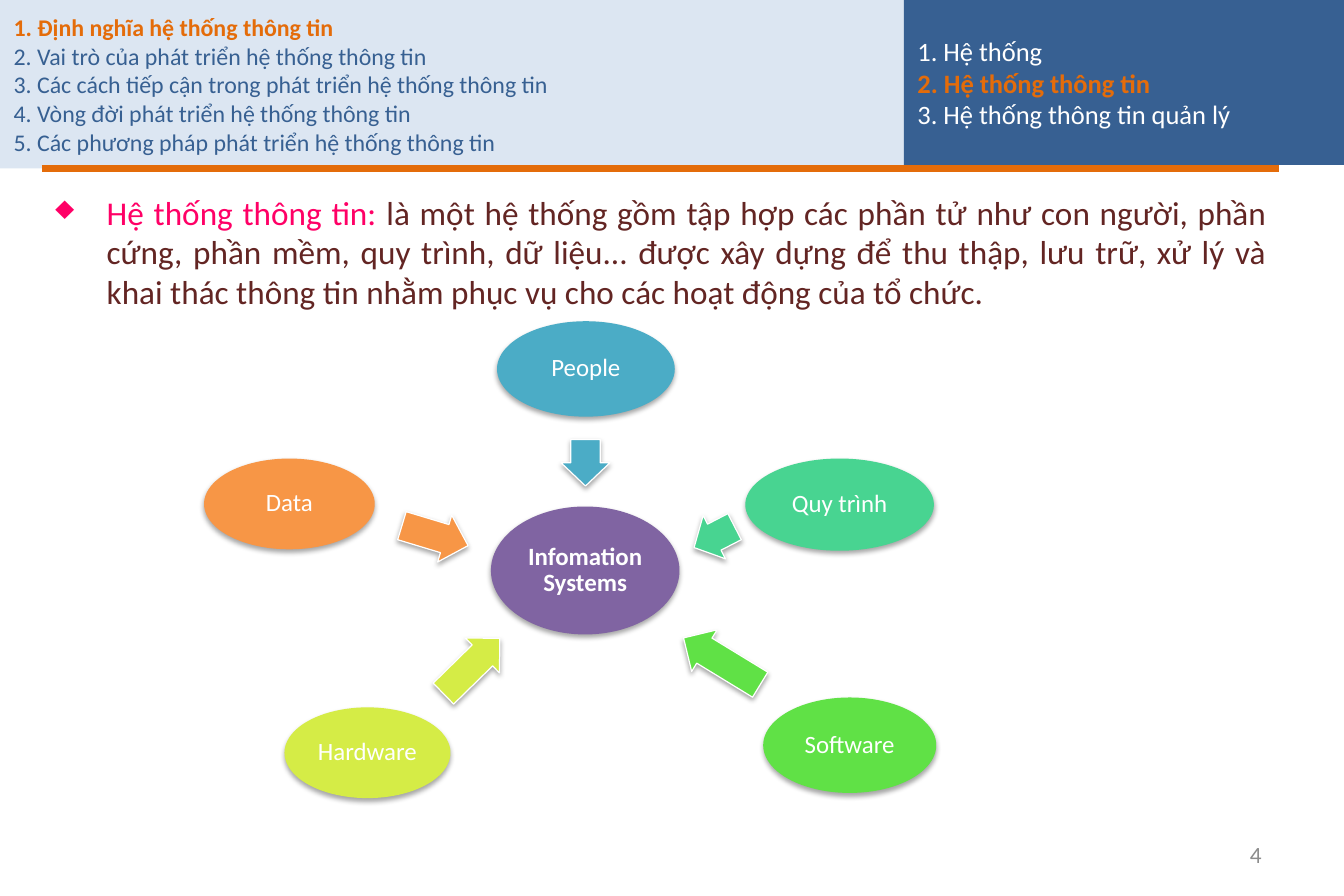
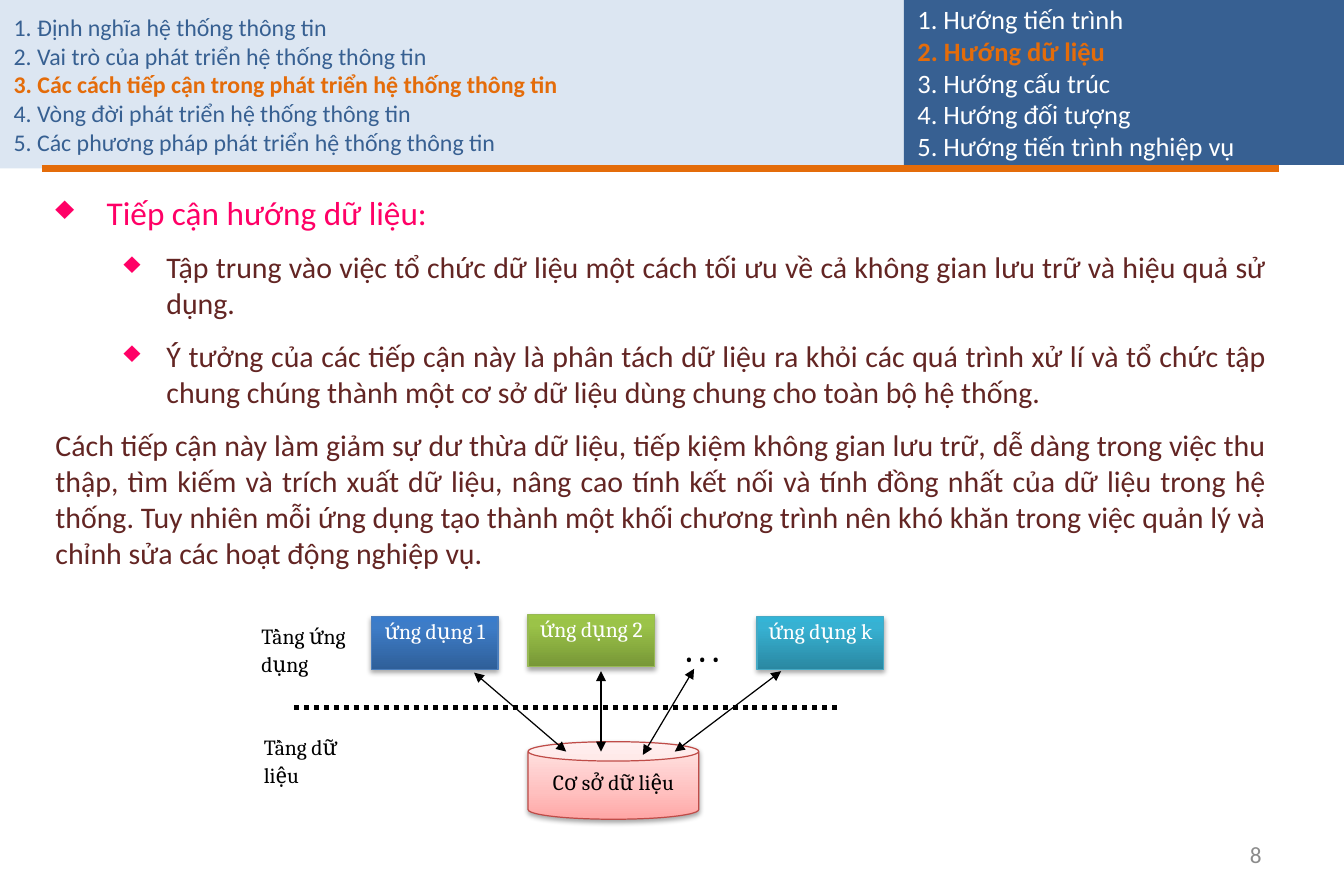
"""Builds two lecture slides on information systems."""
from lxml import etree
from pptx import Presentation
from pptx.dml.color import RGBColor
from pptx.enum.dml import MSO_LINE
from pptx.enum.shapes import MSO_CONNECTOR, MSO_SHAPE
from pptx.enum.text import MSO_ANCHOR, PP_ALIGN
from pptx.oxml.ns import qn
from pptx.util import Cm, Pt

STRAIGHT = MSO_CONNECTOR.STRAIGHT
RECTANGLE, OVAL = MSO_SHAPE.RECTANGLE, MSO_SHAPE.OVAL
CAN, ARROW = MSO_SHAPE.CAN, MSO_SHAPE.RIGHT_ARROW
TOP, MIDDLE = MSO_ANCHOR.TOP, MSO_ANCHOR.MIDDLE
LEFT, CENTER, RIGHT, JUSTIFY = PP_ALIGN.LEFT, PP_ALIGN.CENTER, PP_ALIGN.RIGHT, PP_ALIGN.JUSTIFY
DOTTED = MSO_LINE.ROUND_DOT

COLORS = {
    "white": "FFFFFF", "black": "000000", "gray": "8C8C8C", "pale": "DCE6F2",
    "navy": "376092", "accent": "E46C0A", "pink": "FF0066", "maroon": "632523",
    "purple": "8064A2", "aqua": "4BACC6", "mint": "48D491", "green": "60E146",
    "lime": "D5EC46", "orange": "F79646",
    "app_blue": "4B7EBC", "app_green": "98B955", "app_teal": "46AAC5", "store": "BF4C48",
}
GRADIENTS = {
    "app_blue": ((0, "2F5F99"), (80, "3D7CC7"), (100, "3A7CCB")),
    "app_green": ((0, "779737"), (80, "9BC348"), (100, "9DC746")),
    "app_teal": ((0, "2A88A2"), (80, "37B1D2"), (100, "34B4D6")),
    "store": ((0, "FFA6A5"), (35, "FFC0BF"), (100, "FFE7E7")),
}
BODY_FONT, DIAGRAM_FONT = "Calibri", "Cambria"
WIDE_INSETS = (0.29, 0.14)
BODY_BOX = (0.89, 3.94, 26.34, 15.11)
CHAPTERS = (
    "1. Định nghĩa hệ thống thông tin",
    "2. Vai trò của phát triển hệ thống thông tin",
    "3. Các cách tiếp cận trong phát triển hệ thống thông tin",
    "4. Vòng đời phát triển hệ thống thông tin",
    "5. Các phương pháp phát triển hệ thống thông tin",
)
HUB_BOX = (10.44, 10.77, 4.01, 2.72)
NODES = (
    ("People", "aqua", (10.57, 6.83, 3.78, 2.03), (12.45, 9.84), 0.99, 90),
    ("Quy trình", "mint", (15.85, 9.75, 4.01, 1.96), (15.19, 11.42), 0.97, 152.7),
    ("Software", "green", (16.23, 14.83, 3.68, 2.03), (15.35, 14.06), 1.91, 211.4),
    ("Hardware", "lime", (6.05, 15.04, 3.53, 1.93), (10.03, 14.16), 1.68, 315.6),
    ("Data", "orange", (4.34, 9.75, 3.63, 1.93), (9.25, 11.39), 1.47, 16.8),
)
ARROW_HEIGHT = 1.04
APPS = (
    ("ứng dụng 1", "app_blue", 7.9, 13.11),
    ("ứng dụng 2", "app_green", 11.23, 13.06),
    ("ứng dụng k", "app_teal", 16.1, 13.11),
)
DATA_LINKS = (
    ((10.08, 14.3), (12.04, 15.98)),
    ((12.78, 14.27), (12.78, 15.98)),
    ((16.61, 14.27), (14.35, 15.98)),
    ((14.76, 14.22), (13.67, 16.05)),
)


def rgb(name):
    """Return the named colour."""
    return RGBColor.from_string(COLORS[name])


def set_frame(shape, insets, anchor):
    """Prepare the text frame of a shape and return it."""
    frame = shape.text_frame
    frame.word_wrap = True
    frame.margin_left = frame.margin_right = Cm(insets[0])
    frame.margin_top = frame.margin_bottom = Cm(insets[1])
    frame.vertical_anchor = anchor
    return frame


def next_para(frame):
    """Return the empty first paragraph of a frame or a new one."""
    first = frame.paragraphs[0]
    return frame.add_paragraph() if first.runs else first


def style_para(para, size, color, font=BODY_FONT, bold=False, align=LEFT):
    """Set alignment and font of a whole paragraph."""
    para.alignment = align
    para.font.name = font
    para.font.size = Pt(size)
    para.font.bold = bold
    para.font.color.rgb = rgb(color)


def add_para(frame, text, size, color, spacing=None, **style):
    """Add a paragraph in one style."""
    para = next_para(frame)
    para.add_run().text = text
    style_para(para, size, color, **style)
    if spacing:
        para.line_spacing = spacing


def add_text(page, box, text, size, color, insets=(0, 0), anchor=TOP, **style):
    """Add a text box with one paragraph."""
    shape = page.shapes.add_textbox(*map(Cm, box))
    add_para(set_frame(shape, insets, anchor), text, size, color, **style)


def add_filled(page, kind, box, color, outline=None):
    """Add a solid or gradient shape without a shadow."""
    shape = page.shapes.add_shape(kind, *map(Cm, box))
    shape.shadow.inherit = False
    if color in GRADIENTS:
        shape.fill.gradient()
        shape.fill.gradient_angle = 90
        stops = shape.element.spPr.find(qn("a:gradFill")).find(qn("a:gsLst"))
        for stop in list(stops):
            stops.remove(stop)
        for percent, tone in GRADIENTS[color]:
            stop = etree.SubElement(stops, qn("a:gs"), pos=str(percent * 1000))
            etree.SubElement(stop, qn("a:srgbClr"), val=tone)
    else:
        shape.fill.solid()
        shape.fill.fore_color.rgb = rgb(color)
    if outline:
        shape.line.color.rgb = rgb(outline)
        shape.line.width = Pt(0.75)
    else:
        shape.line.fill.background()
    return shape


def add_raised(page, kind, box, color, outline=None):
    """Add a filled shape with a soft shadow below it."""
    shape = add_filled(page, kind, box, color, outline)
    effects = shape.element.spPr.find(qn("a:effectLst"))
    shadow = etree.SubElement(
        effects, qn("a:outerShdw"), blurRad=str(Pt(3.1)), dist=str(Pt(1.8)),
        dir="5400000", rotWithShape="0")
    tone = etree.SubElement(shadow, qn("a:srgbClr"), val=COLORS["black"])
    etree.SubElement(tone, qn("a:alpha"), val="35000")
    return shape


def add_line(page, start, end, color, width, dash=None, arrows=False):
    """Add a straight line, optionally dashed or with two arrowheads."""
    line = page.shapes.add_connector(STRAIGHT, *map(Cm, start + end))
    line.line.color.rgb = rgb(color)
    line.line.width = Pt(width)
    if dash:
        line.line.dash_style = dash
    if arrows:
        for tag in ("a:headEnd", "a:tailEnd"):
            etree.SubElement(line.line._get_or_add_ln(), qn(tag), type="triangle")
    etree.SubElement(line.element.spPr, qn("a:effectLst"))


def add_agenda(page, box, fill, items, current, size, color, align):
    """Add a panel that lists items and highlights the current one."""
    panel = add_filled(page, RECTANGLE, box, fill)
    frame = set_frame(panel, WIDE_INSETS, MIDDLE)
    for number, item in enumerate(items, 1):
        active = number == current
        add_para(frame, item, size, "accent" if active else color, bold=active, align=align)


def add_body_para(frame, spans, size, indent=None):
    """Add a justified body paragraph of coloured spans, bulleted if indented."""
    para = next_para(frame)
    if indent:
        margin, hanging = indent
        props = para._p.get_or_add_pPr()
        props.set("marL", str(Cm(margin)))
        props.set("indent", str(-Cm(hanging)))
        tone = etree.SubElement(props, qn("a:buClr"))
        etree.SubElement(tone, qn("a:srgbClr"), val=COLORS["pink"])
        etree.SubElement(props, qn("a:buChar"), char="♦")
    if frame.paragraphs[0].runs:
        para.space_before = Pt(size * 0.2)
    para.space_after = Pt(6.8)
    style_para(para, size, spans[0][1], align=JUSTIFY)
    for text, color in spans:
        span = para.add_run()
        span.text = text
        if len(spans) > 1:
            span.font.color.rgb = rgb(color)


def add_page(deck, number, chapter, sections, section):
    """Add a page with its bands, rule and number, and return it with its body frame."""
    page = deck.slides.add_slide(deck.slide_layouts[6])
    add_agenda(page, (0, 0, 19.89, 3.58), "pale", CHAPTERS, chapter, 14.4, "navy", LEFT)
    body = page.shapes.add_textbox(*map(Cm, BODY_BOX))
    add_line(page, (0.89, 3.58), (27.2, 3.58), "accent", 4)
    add_text(page, (20.47, 17.65, 6.65, 1.02), number, 14, "gray",
             WIDE_INSETS, MIDDLE, align=RIGHT)
    add_agenda(page, (19.22, 0, 9.36, 3.51), "navy", sections, section, 16, "white", JUSTIFY)
    return page, set_frame(body, WIDE_INSETS, TOP)


def add_node(page, box, color, text, bold=False):
    """Add a labelled ellipse."""
    node = add_raised(page, OVAL, box, color)
    add_para(set_frame(node, (0.05, 0.05), MIDDLE), text, 15, "white",
             spacing=0.9, bold=bold, align=CENTER)


def add_block_arrow(page, center, length, angle, color):
    """Add a turned block arrow around its centre."""
    left, top = center[0] - length / 2, center[1] - ARROW_HEIGHT / 2
    arrow = add_raised(page, ARROW, (left, top, length, ARROW_HEIGHT), color, "white")
    arrow.adjustments[0], arrow.adjustments[1] = 0.6, 0.5
    arrow.rotation = angle


def build_definition(deck):
    """Build the page that defines an information system."""
    sections = ("1. Hệ thống", "2. Hệ thống thông tin", "3. Hệ thống thông tin quản lý")
    page, body = add_page(deck, "4", 1, sections, 2)
    add_body_para(body, (
        ("Hệ thống thông tin:", "pink"),
        (" là một hệ thống gồm tập hợp các phần tử như con người, phần cứng, phần mềm, "
         "quy trình, dữ liệu... được xây dựng để thu thập, lưu trữ, xử lý và khai thác "
         "thông tin nhằm phục vụ cho các hoạt động của tổ chức.", "maroon")), 20, (1.09, 1.09))
    add_node(page, HUB_BOX, "purple", "Infomation Systems", bold=True)
    for text, color, box, center, length, angle in NODES:
        add_block_arrow(page, center, length, angle, color)
        add_node(page, box, color, text)


def build_data_approach(deck):
    """Build the page on the data-oriented approach."""
    sections = ("1. Hướng tiến trình", "2. Hướng dữ liệu", "3. Hướng cấu trúc",
                "4. Hướng đối tượng", "5. Hướng tiến trình nghiệp vụ")
    page, body = add_page(deck, "8", 3, sections, 2)
    add_body_para(body, (("Tiếp cận hướng dữ liệu:", "pink"),), 20, (1.09, 1.09))
    for text in (
            "Tập trung vào việc tổ chức dữ liệu một cách tối ưu về cả không gian lưu trữ "
            "và hiệu quả sử dụng.",
            "Ý tưởng của các tiếp cận này là phân tách dữ liệu ra khỏi các quá trình xử lí "
            "và tổ chức tập chung chúng thành một cơ sở dữ liệu dùng chung cho toàn bộ hệ thống."):
        add_body_para(body, ((text, "maroon"),), 18, (2.36, 0.91))
    add_body_para(body, ((
        "Cách tiếp cận này làm giảm sự dư thừa dữ liệu, tiếp kiệm không gian lưu trữ, dễ dàng "
        "trong việc thu thập, tìm kiếm và trích xuất dữ liệu, nâng cao tính kết nối và tính "
        "đồng nhất của dữ liệu trong hệ thống. Tuy nhiên mỗi ứng dụng tạo thành một khối "
        "chương trình nên khó khăn trong việc quản lý và chỉnh sửa các hoạt động nghiệp vụ.",
        "maroon"),), 18)

    label = {"font": DIAGRAM_FONT, "spacing": 1.07}
    store = add_raised(page, CAN, (11.23, 15.77, 3.63, 1.65), "store", "store")
    store.adjustments[0] = 0.25
    add_para(set_frame(store, (0.25, 0.13), TOP), "Cơ sở dữ liệu", 13, "black",
             align=CENTER, **label)
    add_line(page, (6.25, 15.04), (17.86, 15.04), "black", 3, dash=DOTTED)
    for text, color, left, top in APPS:
        app = add_raised(page, RECTANGLE, (left, top, 2.69, 1.12), color, color)
        add_para(set_frame(app, (0, 0), TOP), text, 13, "white", align=CENTER, **label)
    for start, end in DATA_LINKS:
        add_line(page, start, end, "black", 0.75, arrows=True)
    add_text(page, (5.56, 13.21, 1.98, 1.68), "Tầng ứng dụng", 13, "black", **label)
    add_text(page, (5.61, 15.57, 1.98, 1.52), "Tầng dữ liệu", 13, "black", **label)
    add_text(page, (14.58, 13.39, 1.1, 0.79), ". . .", 18, "black", bold=True, **label)


def main():
    """Build and save the deck."""
    deck = Presentation()
    deck.slide_width, deck.slide_height = Cm(28.58), Cm(19.05)
    build_definition(deck)
    build_data_approach(deck)
    deck.save("out.pptx")


if __name__ == "__main__":
    main()
